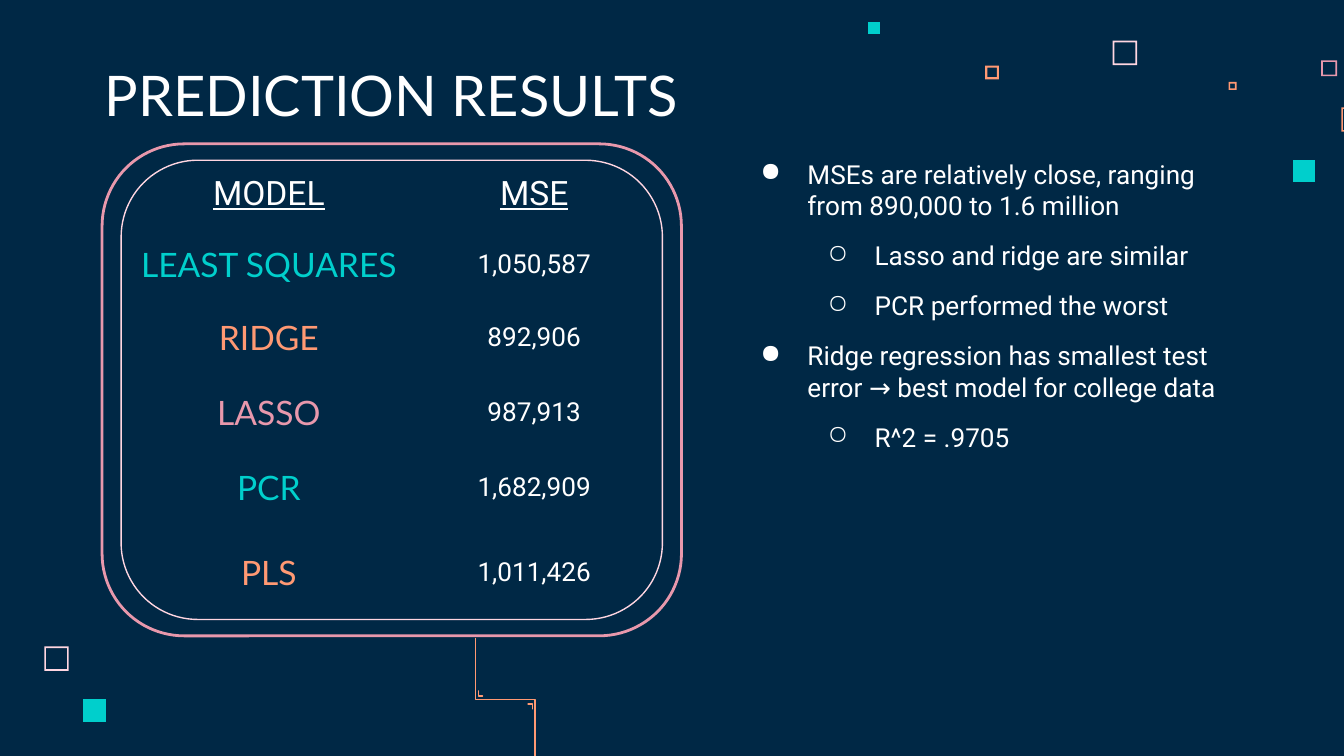
from lxml.etree import SubElement
from pptx import Presentation
from pptx.dml.color import RGBColor
from pptx.enum.shapes import MSO_SHAPE
from pptx.enum.text import MSO_ANCHOR, PP_ALIGN
from pptx.oxml.ns import qn
from pptx.util import Cm, Pt

NAVY = RGBColor(0x00, 0x28, 0x45)
WHITE = RGBColor(0xFF, 0xFF, 0xFF)
TEAL = RGBColor(0x00, 0xCF, 0xCC)
ORANGE = RGBColor(0xFF, 0x99, 0x73)
ROSE = RGBColor(0xE8, 0x98, 0xAC)
BLUSH = RGBColor(0xFF, 0xD6, 0xE1)

PLAIN_TABLE_STYLE = "{2D5ABB26-0587-4C30-8999-92F81FD0307C}"
PADDING = Cm(0.25)

RESULTS = [
    ("LEAST SQUARES", "1,050,587", TEAL),
    ("RIDGE", "892,906", ORANGE),
    ("LASSO", "987,913", ROSE),
    ("PCR", "1,682,909", TEAL),
    ("PLS", "1,011,426", ORANGE),
]
FINDINGS = [
    (0, "MSEs are relatively close, ranging from 890,000 to 1.6 million"),
    (1, "Lasso and ridge are similar"),
    (1, "PCR performed the worst"),
    (0, "Ridge regression has smallest test error → best model for college data"),
    (1, "R^2 = .9705"),
]
# left, top, side, rim (0 for solid), colour
SQUARES = [
    (21.03, 0.77, 0.46, 0.03, BLUSH),
    (24.97, 1.14, 0.3, 0.03, ROSE),
    (23.22, 1.55, 0.15, 0.03, ORANGE),
    (25.35, 2.03, 0.46, 0.03, ORANGE),
    (24.43, 3.02, 0.43, 0, TEAL),
    (18.62, 1.24, 0.26, 0.04, ORANGE),
    (16.41, 0.41, 0.23, 0, TEAL),
    (0.84, 12.22, 0.46, 0.03, BLUSH),
    (1.57, 13.21, 0.43, 0, TEAL),
]


def style_font(font, size, name, colour):
    font.size = Pt(size)
    font.name = name
    font.color.rgb = colour


def add_outline(shapes, left, top, contours, colour):
    placed = [[(Cm(left + x), Cm(top + y)) for x, y in contour] for contour in contours]
    builder = shapes.build_freeform(*placed[0][0])
    for index, contour in enumerate(placed):
        if index:
            builder.move_to(*contour[0])
        builder.add_line_segments(contour[1:], close=True)
    outline = builder.convert_to_shape()
    outline.shadow.inherit = False
    outline.fill.solid()
    outline.fill.fore_color.rgb = colour
    outline.line.fill.background()
    return outline


def add_square(shapes, left, top, side, rim, colour):
    contours = [[(0, 0), (0, side), (side, side), (side, 0)]]
    if rim:
        far = side - rim
        contours.append([(far, rim), (far, far), (rim, far), (rim, rim)])
    add_outline(shapes, left, top, contours, colour)


def add_text_frame(shapes, left, top, width, height):
    frame = shapes.add_textbox(Cm(left), Cm(top), Cm(width), Cm(height)).text_frame
    frame.word_wrap = True
    frame.margin_left = frame.margin_right = PADDING
    frame.margin_top = frame.margin_bottom = PADDING
    return frame


def add_title(shapes, left, top, width, height):
    frame = add_text_frame(shapes, left, top, width, height)
    frame.vertical_anchor = MSO_ANCHOR.BOTTOM
    heading = frame.paragraphs[0]
    heading.text = "PREDICTION RESULTS"
    style_font(heading.font, 30, "Lato", WHITE)


def add_panel(shapes, left, top, width, height):
    for inset_x, inset_y, colour, weight in [(0, 0, ROSE, 1.5), (0.36, 0.31, BLUSH, 0.75)]:
        border = shapes.add_shape(
            MSO_SHAPE.ROUNDED_RECTANGLE,
            Cm(left + inset_x), Cm(top + inset_y),
            Cm(width - 2 * inset_x), Cm(height - 2 * inset_y))
        border.adjustments[0] = 0.167
        border.shadow.inherit = False
        border.fill.background()
        border.line.color.rgb = colour
        border.line.width = Pt(weight)


def fill_cell(cell, text, size, font_name, colour, is_header):
    cell.fill.background()
    cell.margin_left = cell.margin_right = PADDING
    cell.margin_top = cell.margin_bottom = PADDING
    cell.vertical_anchor = MSO_ANCHOR.TOP if is_header else MSO_ANCHOR.MIDDLE
    paragraph = cell.text_frame.paragraphs[0]
    paragraph.text = text
    paragraph.alignment = PP_ALIGN.CENTER
    style_font(paragraph.font, size, font_name, colour)
    paragraph.font.underline = is_header


def add_results(shapes, left, top, width, height):
    row_shares = [50, 53, 56, 56, 55, 72]
    column_shares = [212, 183]
    results = shapes.add_table(
        len(row_shares), len(column_shares), Cm(left), Cm(top), Cm(width), Cm(height)).table
    results.first_row = results.horz_banding = False
    results._tbl.tblPr.find(qn("a:tableStyleId")).text = PLAIN_TABLE_STYLE
    for row, share in zip(results.rows, row_shares):
        row.height = Cm(height * share / sum(row_shares))
    for column, share in zip(results.columns, column_shares):
        column.width = Cm(width * share / sum(column_shares))

    for index, label in enumerate(["MODEL", "MSE"]):
        fill_cell(results.cell(0, index), label, 18, "Roboto", WHITE, True)
    for index, (model, mse, colour) in enumerate(RESULTS, 1):
        fill_cell(results.cell(index, 0), model, 18, "Lato", colour, False)
        fill_cell(results.cell(index, 1), mse, 14, "Roboto", WHITE, False)


def add_circuit(shapes, left, top, width, height):
    bend = 1.15
    wire = [(0, 0), (0, bend), (width, bend), (width, height)]
    upper_mark = [(width - 0.13, bend + 0.09), (width - 0.05, bend + 0.09),
                  (width - 0.05, bend + 0.18)]
    lower_mark = [(0.05, bend - 0.16), (0.05, bend - 0.06), (0.13, bend - 0.06)]
    circuit = shapes.add_group_shape()
    for trace in (wire, upper_mark, lower_mark):
        there_and_back = trace + trace[-2:0:-1]
        part = add_outline(circuit.shapes, left, top, [there_and_back], ORANGE)
        part.line.color.rgb = ORANGE
        part.line.width = Pt(0.75)


def add_bullet(paragraph, level):
    properties = paragraph._p.get_or_add_pPr()
    properties.set("marL", str(Cm(1.27 * (level + 1))))
    properties.set("indent", str(-Cm(0.89)))
    bullet_colour = SubElement(properties, qn("a:buClr"))
    SubElement(bullet_colour, qn("a:srgbClr"), val=str(WHITE))
    SubElement(properties, qn("a:buChar"), char="●○"[level])


def add_findings(shapes, left, top, width, height):
    frame = add_text_frame(shapes, left, top, width, height)
    for index, (level, text) in enumerate(FINDINGS):
        finding = frame.add_paragraph() if index else frame.paragraphs[0]
        finding.text = text
        finding.level = level
        add_bullet(finding, level)
        finding.space_before = Pt(10)
        style_font(finding.font, 14, "Roboto", WHITE)


def main():
    presentation = Presentation()
    presentation.slide_width = Cm(25.4)
    presentation.slide_height = Cm(14.29)
    slide = presentation.slides.add_slide(presentation.slide_layouts[6])
    slide.background.fill.solid()
    slide.background.fill.fore_color.rgb = NAVY

    shapes = slide.shapes
    for square in SQUARES:
        add_square(shapes, *square)
    add_panel(shapes, 1.93, 2.72, 10.95, 9.3)
    add_title(shapes, 1.73, 1.07, 13.13, 1.6)
    add_results(shapes, 2.39, 3.05, 10.03, 8.69)
    add_circuit(shapes, 8.99, 12.07, 1.12, 3.6)
    add_findings(shapes, 13.74, 2.74, 10.21, 6.12)
    presentation.save("out.pptx")


if __name__ == "__main__":
    main()
